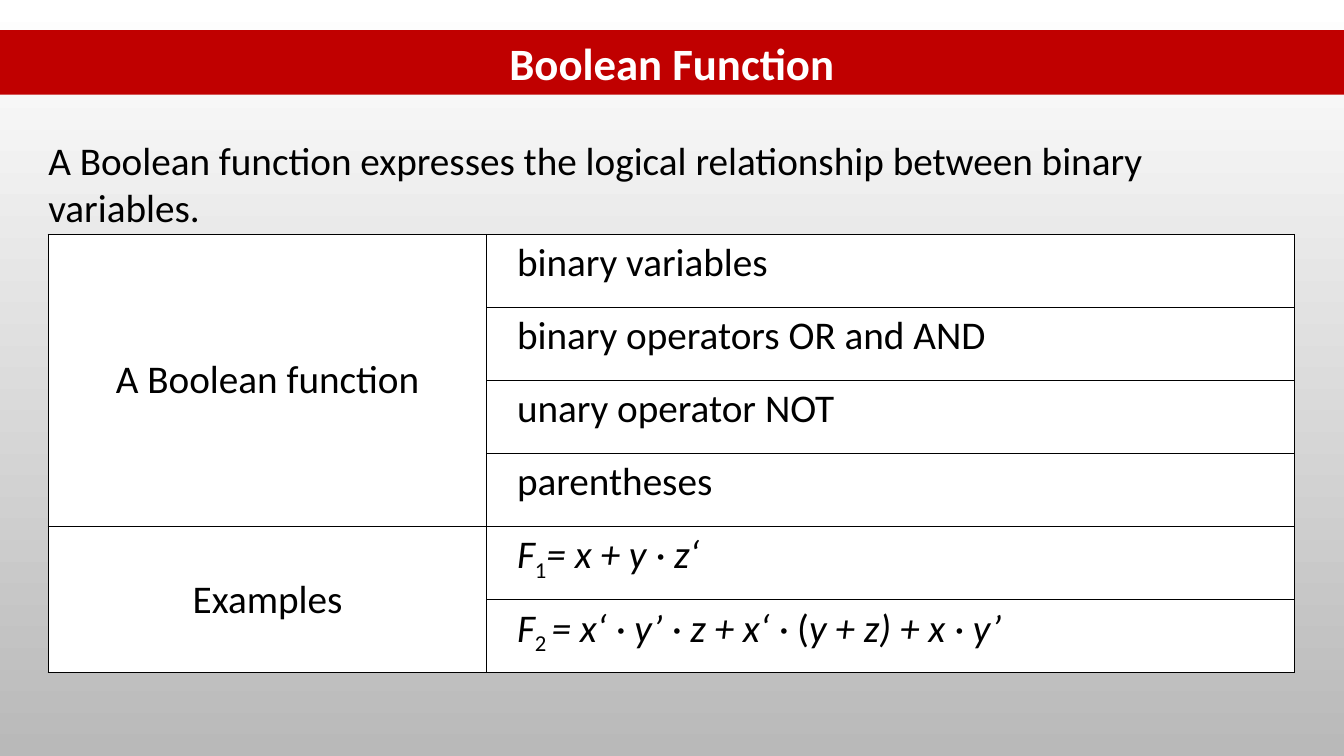
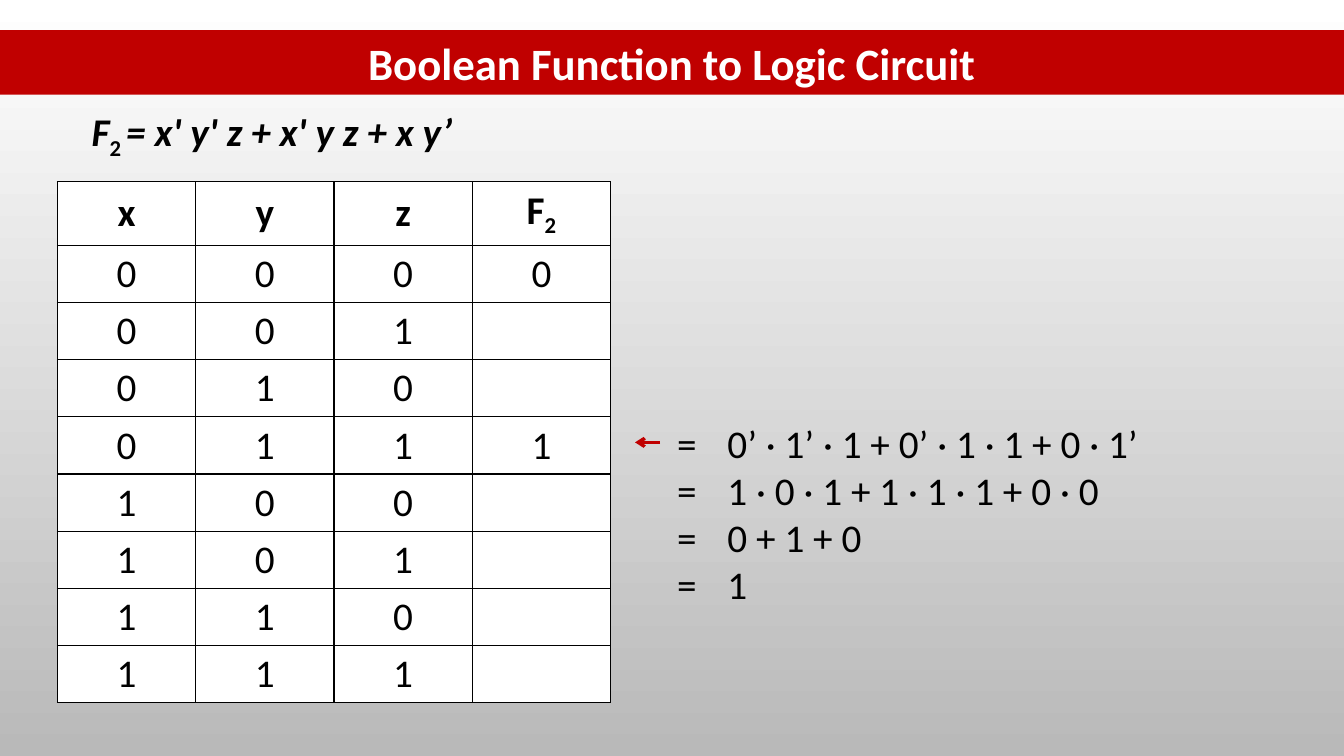
from lxml.etree import SubElement
from pptx import Presentation
from pptx.dml.color import RGBColor as RGB
from pptx.enum.shapes import MSO_CONNECTOR as CONN
from pptx.enum.text import MSO_ANCHOR as ANCHOR, MSO_AUTO_SIZE as AUTO, PP_ALIGN as ALIGN
from pptx.oxml.ns import qn
from pptx.util import Pt

# Shared look
RED, WHITE, BLACK = RGB(0xC0, 0, 0), RGB(255, 255, 255), RGB(0, 0, 0)
GREY = RGB(0xB9, 0xB9, 0xB9)
WIDE, HIGH = 960, 540
BODY = {"name": "Calibri", "size": Pt(28), "bold": False, "italic": False}
HEAD = {**BODY, "size": Pt(32), "bold": True}

# Content: text is a string or a list of (text, marks),
# with the marks b = bold, i = italic, s = subscript
INTRO = "A Boolean function expresses the logical relationship between binary variables."
GROUPS = [
    ("A Boolean function", [
        "binary variables",
        "binary operators OR and AND",
        "unary operator NOT",
        "parentheses",
    ]),
    ("Examples", [
        [("F", "i"), ("1", "s"), ("= x + y · z‘", "i")],
        [("F", "i"), ("2 ", "s"), ("= x‘ · y’ · z + x‘ · ", "i"), ("(", ""),
         ("y + z) + x · y’", "i")],
    ]),
]
RULE = [("F", "bi"), ("2 ", "bs"), ("= x' y' z + x' y z + x y’", "bi")]
NAMES = [[("x", "b")], [("y", "b")], [("z", "b")], [("F", "b"), ("2", "bs")]]
KNOWN = {0: "0", 3: "1"}
STEPS = [
    "=\t0’ · 1’ · 1 + 0’ · 1 · 1 + 0 · 1’",
    "=\t1 · 0 · 1 + 1 · 1 · 1 + 0 · 0",
    "=\t0 + 1 + 0",
    "=\t1",
]


def style(font, form, color=BLACK):
    for key, value in form.items():
        setattr(font, key, value)
    font.color.rgb = color


def write(para, text):
    for part, marks in [(text, "")] if isinstance(text, str) else text:
        run = para.add_run()
        run.text = part
        style(run.font, {**BODY, "bold": "b" in marks, "italic": "i" in marks})
        if "s" in marks:
            run._r.get_or_add_rPr().set("baseline", "-25000")


def add_slide(prs, title):
    slide = prs.slides.add_slide(prs.slide_layouts[5])
    band = slide.shapes.title
    band.left, band.top, band.width, band.height = 0, Pt(21.6), Pt(WIDE), Pt(46)
    band.fill.solid()
    band.fill.fore_color.rgb = RED
    frame = band.text_frame
    frame.text = title
    frame.auto_size = AUTO.NONE
    frame.vertical_anchor = ANCHOR.MIDDLE
    frame.margin_top = frame.margin_bottom = 0
    frame.paragraphs[0].alignment = ALIGN.CENTER
    style(frame.paragraphs[0].runs[0].font, HEAD, WHITE)
    return slide


def add_text(slide, place, lines, hang=0):
    frame = slide.shapes.add_textbox(*map(Pt, place)).text_frame
    frame.word_wrap = True
    for i, text in enumerate(lines):
        para = frame.add_paragraph() if i else frame.paragraphs[0]
        if hang:
            props = para._p.get_or_add_pPr()
            props.set("marL", str(Pt(hang)))
            props.set("indent", str(-Pt(hang)))
        write(para, text)


def add_grid(slide, left, top, cols, rows):
    table = slide.shapes.add_table(
        len(rows), len(cols), Pt(left), Pt(top), Pt(sum(cols)), Pt(sum(rows))).table
    table.first_row = table.horz_banding = False
    for col, width in zip(table.columns, cols):
        col.width = Pt(width)
    for row, height in zip(table.rows, rows):
        row.height = Pt(height)
    for cell in table.iter_cells():
        props = cell._tc.get_or_add_tcPr()
        for side in ("lnL", "lnR", "lnT", "lnB"):
            edge = SubElement(props, qn("a:" + side), w=str(Pt(1)))
            fill = SubElement(edge, qn("a:solidFill"))
            SubElement(fill, qn("a:srgbClr"), val=str(BLACK))
        cell.fill.solid()
        cell.fill.fore_color.rgb = WHITE
    return table


def center(cell, text):
    cell.vertical_anchor = ANCHOR.MIDDLE
    para = cell.text_frame.paragraphs[0]
    para.alignment = ALIGN.CENTER
    write(para, text)


def add_arrow(slide, start, end, y):
    arrow = slide.shapes.add_connector(CONN.STRAIGHT, Pt(start), Pt(y), Pt(end), Pt(y))
    arrow.line.color.rgb = RED
    arrow.line.width = Pt(2.25)
    props = arrow._element.spPr
    SubElement(props.find(qn("a:ln")), qn("a:tailEnd"), type="arrow")
    SubElement(props, qn("a:effectLst"))


def build_parts(prs):
    slide = add_slide(prs, "Boolean Function")
    add_text(slide, (27.4, 93.6, 905.8, 75), [INTRO])
    count = sum(len(items) for _, items in GROUPS)
    table = add_grid(slide, 34.5, 167.4, [313.2, 576.8], [52.2] * count)
    row = 0
    for label, items in GROUPS:
        first = table.cell(row, 0)
        first.merge(table.cell(row + len(items) - 1, 0))
        center(first, label)
        for item in items:
            cell = table.cell(row, 1)
            cell.margin_left = Pt(21.6)
            write(cell.text_frame.paragraphs[0], item)
            row += 1


def build_truth(prs):
    slide = add_slide(prs, "Boolean Function to Logic Circuit")
    add_text(slide, (58.3, 73.4, 306, 41), [RULE])
    table = add_grid(slide, 41, 129.7, [98.8] * 4, [45.4] + [40.8] * 8)
    # Inputs count up in binary
    lines = [list(f"{n:03b}") + [KNOWN.get(n, "")] for n in range(8)]
    for r, line in enumerate([NAMES] + lines):
        for c, text in enumerate(line):
            if text:
                center(table.cell(r, c), text)
    # Worked row
    add_arrow(slide, 471.6, 453.6, 316)
    add_text(slide, (476.6, 295.9, 380, 144), STEPS, hang=36)


def main():
    prs = Presentation()
    prs.slide_width, prs.slide_height = Pt(WIDE), Pt(HIGH)
    # Background shared through the master
    fill = prs.slide_master.background.fill
    fill.gradient()
    fill.gradient_angle = 270
    for stop, color, place in zip(fill.gradient_stops, (WHITE, GREY), (0, 1)):
        stop.color.rgb = color
        stop.position = place
    build_parts(prs)
    build_truth(prs)
    prs.save("out.pptx")


if __name__ == "__main__":
    main()
